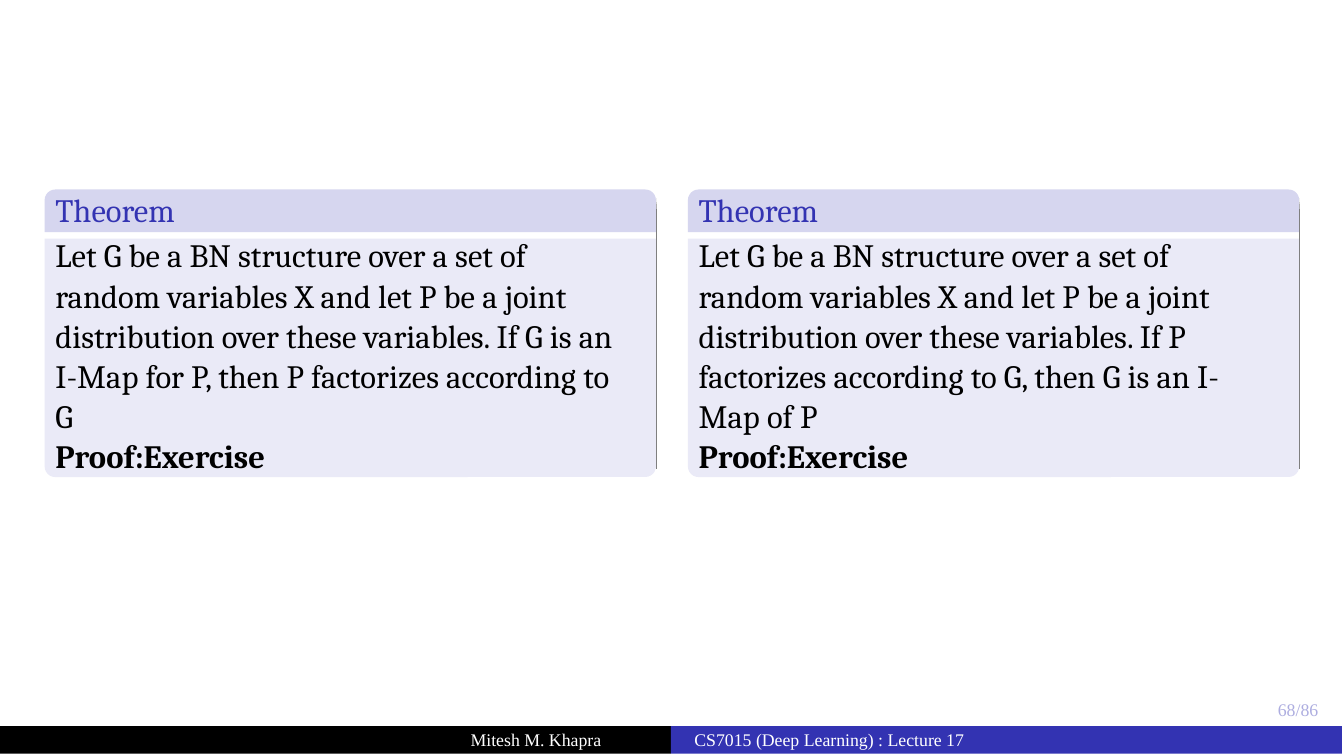
"""Build a slide with two theorem blocks side by side above a lecture footer."""
from dataclasses import dataclass

from lxml import etree
from pptx import Presentation
from pptx import util as u
from pptx.dml import color
from pptx.enum import shapes, text
from pptx.oxml import ns

BLOCK_WIDTH = 2.87
CORNER = 0.05
INDIGO = "3333B2"
SERIF = "Cambria"
FOOTER_FONT = "Times New Roman"


@dataclass(frozen=True)
class Theorem:
    left: float
    statement: str
    heading_index: int
    body_index: int


@dataclass(frozen=True)
class EdgeSegment:
    top: float
    bottom: float
    shade: str


@dataclass(frozen=True)
class FooterLabel:
    left: float
    top: float
    width: float
    wording: str
    shade: str


THEOREMS = [
    Theorem(0.21, "Let G be a BN structure over a set of random variables X and let P be "
            "a joint distribution over these variables. If G is an I-Map for P, then P "
            "factorizes according to G", 1, 2),
    Theorem(3.23, "Let G be a BN structure over a set of random variables X and let P be "
            "a joint distribution over these variables. If P factorizes according to G, "
            "then G is an I-Map of P", 3, 4),
]
EDGE = [
    EdgeSegment(0.98, 2.2, "7F7F7F"),
    EdgeSegment(0.96, 0.98, "AFAFAF"),
    EdgeSegment(0.95, 0.96, "CECECE"),
    EdgeSegment(0.93, 0.95, "EFEFEF"),
]
FOOTER_LABELS = [
    FooterLabel(6.0, 3.29, 0.27, "68/86", "ADADE0"),
    FooterLabel(2.21, 3.43, 0.84, "Mitesh M. Khapra", "FFFFFF"),
    FooterLabel(3.26, 3.43, 1.69, "CS7015 (Deep Learning) : Lecture 17", "FFFFFF"),
]


def rgb(shade: str) -> color.RGBColor:
    """Turn a hex string into a colour."""
    return color.RGBColor.from_string(shade)


def add_panel(slide, kind, left: float, top: float, width: float, height: float, shade: str):
    """Add a flat filled shape without outline or shadow."""
    shape = slide.shapes.add_shape(kind, *map(u.Inches, (left, top, width, height)))
    shape.shadow.inherit = False
    shape.fill.solid()
    shape.fill.fore_color.rgb = rgb(shade)
    shape.line.fill.background()
    return shape


def add_edge(slide, x: float, segment: EdgeSegment) -> None:
    """Add one hairline piece of a block's right edge."""
    line = slide.shapes.add_connector(
        shapes.MSO_CONNECTOR.STRAIGHT,
        *map(u.Inches, (x, segment.top, x, segment.bottom)))
    line.line.color.rgb = rgb(segment.shade)
    line.line.width = u.Pt(0.25)
    etree.SubElement(line.element.spPr, ns.qn("a:effectLst"))


def prepare_frame(shape, wrap: bool):
    """Clear margins and fitting of a text shape and return its frame."""
    frame = shape.text_frame
    frame.margin_left = frame.margin_right = frame.margin_top = frame.margin_bottom = 0
    frame.auto_size = text.MSO_AUTO_SIZE.NONE
    frame.vertical_anchor = text.MSO_ANCHOR.TOP
    frame.word_wrap = wrap
    return frame


def style_paragraph(paragraph, font_name: str, size: float, shade: str, bold: bool = False,
                    spacing=1.0, before: float = 0) -> None:
    """Format a paragraph without bullet or indent."""
    properties = paragraph._p.get_or_add_pPr()
    properties.set("marL", "0")
    properties.set("indent", "0")
    etree.SubElement(properties, ns.qn("a:buNone"))
    paragraph.alignment = text.PP_ALIGN.LEFT
    paragraph.line_spacing = spacing
    paragraph.space_before = u.Pt(before)
    font = paragraph.font
    font.name, font.size, font.bold = font_name, u.Pt(size), bold
    font.color.rgb = rgb(shade)


def place_placeholder(slide, index: int, left: float, top: float, width: float,
                      height: float, lines: list[str]):
    """Move a placeholder to the front, fill it and return its paragraphs."""
    shape = next(item for item in slide.placeholders if item.placeholder_format.idx == index)
    shape.left, shape.top, shape.width, shape.height = map(
        u.Inches, (left, top, width, height))
    slide.shapes.element.append(shape.element)
    frame = prepare_frame(shape, True)
    frame.text = "\n".join(lines)
    return frame.paragraphs


def add_theorem(slide, theorem: Theorem) -> None:
    """Draw a theorem block with its heading and body."""
    kind = shapes.MSO_SHAPE.ROUND_2_SAME_RECTANGLE
    header = add_panel(slide, kind, theorem.left, 0.89, BLOCK_WIDTH, 0.2, "D6D6EF")
    header.adjustments[0] = CORNER / 0.2
    panel = add_panel(slide, kind, theorem.left, 1.12, BLOCK_WIDTH, 1.12, "EAEAF7")
    panel.adjustments[0] = 0
    panel.adjustments[1] = CORNER / 1.12
    for segment in EDGE:
        add_edge(slide, theorem.left + BLOCK_WIDTH, segment)

    text_left = theorem.left + 0.05
    heading, = place_placeholder(
        slide, theorem.heading_index, text_left, 0.89, 0.62, 0.2, ["Theorem"])
    style_paragraph(heading, SERIF, 11, INDIGO)
    statement, proof = place_placeholder(
        slide, theorem.body_index, text_left, 1.1, 2.67, 1.13,
        [theorem.statement, "Proof:Exercise"])
    style_paragraph(statement, SERIF, 11, "000000", spacing=1.03)
    style_paragraph(proof, SERIF, 11, "000000", bold=True, before=0.3)


def add_footer_label(slide, label: FooterLabel) -> None:
    """Add a small line of footer text."""
    box = slide.shapes.add_textbox(
        *map(u.Inches, (label.left, label.top, label.width, 0.11)))
    paragraph = prepare_frame(box, False).paragraphs[0]
    paragraph.text = label.wording
    style_paragraph(paragraph, FOOTER_FONT, 6, label.shade, spacing=u.Pt(6.7))


def main() -> None:
    """Build and save the slide."""
    presentation = Presentation()
    presentation.slide_width, presentation.slide_height = u.Inches(6.31), u.Inches(3.55)
    slide = presentation.slides.add_slide(presentation.slide_layouts.get_by_name("Comparison"))
    title = slide.shapes.title.element
    title.getparent().remove(title)
    for theorem in THEOREMS:
        add_theorem(slide, theorem)
    for column, shade in enumerate(("000000", INDIGO)):
        add_panel(slide, shapes.MSO_SHAPE.RECTANGLE, column * 3.15, 3.41, 3.15, 0.13, shade)
    for label in FOOTER_LABELS:
        add_footer_label(slide, label)
    presentation.save("out.pptx")


if __name__ == "__main__":
    main()
